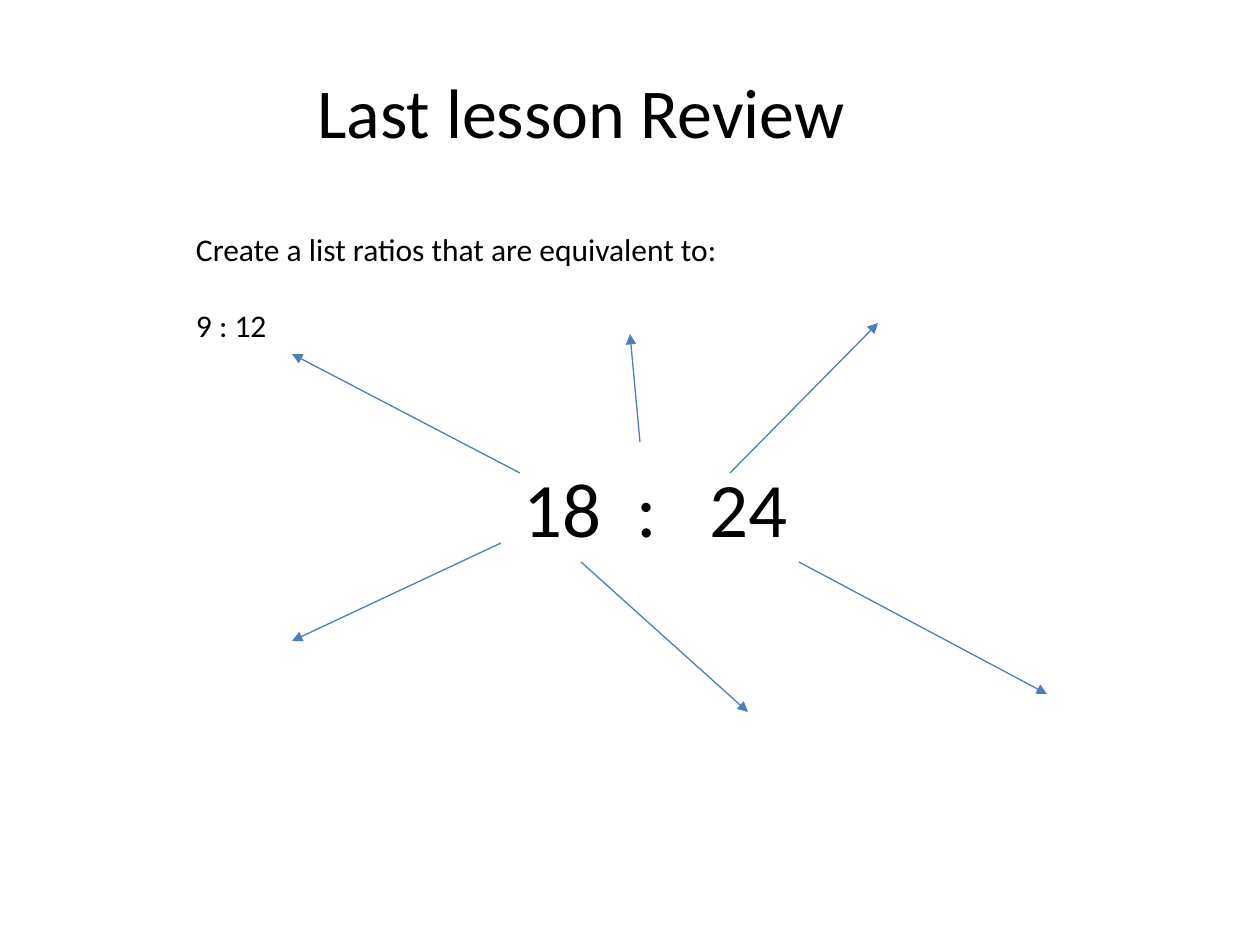
from dataclasses import dataclass

from lxml import etree
from pptx import Presentation
from pptx.dml.color import RGBColor
from pptx.enum.shapes import MSO_CONNECTOR
from pptx.enum.text import MSO_ANCHOR, PP_ALIGN
from pptx.oxml.ns import qn
from pptx.util import Emu, Pt

STRAIGHT = MSO_CONNECTOR.STRAIGHT
TOP = MSO_ANCHOR.TOP
LEFT, CENTER = PP_ALIGN.LEFT, PP_ALIGN.CENTER
PX_PER_INCH = 126
TITLE_ONLY = 5


@dataclass(frozen=True)
class Theme:
    font: str = "Calibri"
    ink: RGBColor = RGBColor(0, 0, 0)
    arrow: RGBColor = RGBColor(0x4B, 0x7E, 0xBC)
    title_size: int = 40
    prompt_size: int = 18
    ratio_size: int = 44
    prompt_gap: int = 22
    arrow_width: float = 0.75


THEME = Theme()


def px(length):
    return Emu(round(length * 914400 / PX_PER_INCH))


def write(holder, lines, size, align=LEFT, gap=0, inset=(12, 6), tabs=()):
    frame = holder.text_frame
    frame.word_wrap = True
    frame.vertical_anchor = TOP
    frame.margin_left = frame.margin_right = px(inset[0])
    frame.margin_top = frame.margin_bottom = px(inset[1])
    for index, line in enumerate(lines):
        paragraph = frame.add_paragraph() if index else frame.paragraphs[0]
        if tabs:
            stops = etree.SubElement(paragraph._p.get_or_add_pPr(), qn("a:tabLst"))
            for stop in tabs:
                etree.SubElement(stops, qn("a:tab"), pos=str(px(stop)), algn="l")
        paragraph.text = line
        paragraph.alignment = align
        if index:
            paragraph.space_before = Pt(gap)
        paragraph.font.name = THEME.font
        paragraph.font.size = Pt(size)
        paragraph.font.color.rgb = THEME.ink


def place_title(slide, left, top, width, height):
    title = slide.shapes.title
    title.left, title.top, title.width, title.height = map(px, (left, top, width, height))
    write(title, ["Last lesson Review"], THEME.title_size, align=CENTER)


def place_prompt(slide, left, top, width, height):
    prompt = slide.shapes.add_textbox(*map(px, (left, top, width, height)))
    lines = ["Create a list ratios that are equivalent to:", "9 : 12"]
    write(prompt, lines, THEME.prompt_size, gap=THEME.prompt_gap)


def add_arrow(slide, start, end):
    arrow = slide.shapes.add_connector(STRAIGHT, *map(px, start + end))
    arrow.line.color.rgb = THEME.arrow
    arrow.line.width = Pt(THEME.arrow_width)
    etree.SubElement(arrow.line._get_or_add_ln(), qn("a:tailEnd"), type="triangle")
    etree.SubElement(arrow._element.spPr, qn("a:effectLst"))


def place_ratio_web(slide, left, top, width, height):
    ratio = slide.shapes.add_textbox(*map(px, (left, top, width, height)))
    write(ratio, ["18\t:\t24"], THEME.ratio_size, inset=(0, 0), tabs=(113, 186))
    rays = [
        ((57, 101), (224, 251)),
        ((206, 12), (354, -138)),
        ((-4, 12), (-232, -107)),
        ((-23, 82), (-232, 180)),
        ((275, 101), (523, 233)),
        ((116, -19), (106, -127)),
    ]
    for ray in rays:
        start, end = [(left + x, top + y) for x, y in ray]
        add_arrow(slide, start, end)


def main():
    deck = Presentation()
    deck.slide_width, deck.slide_height = px(1260), px(945)
    slide = deck.slides.add_slide(deck.slide_layouts[TITLE_ONLY])
    place_title(slide, 184, 63, 794, 97)
    place_prompt(slide, 184, 224, 903, 128)
    place_ratio_web(slide, 524, 461, 300, 94)
    deck.save("out.pptx")


if __name__ == "__main__":
    main()
